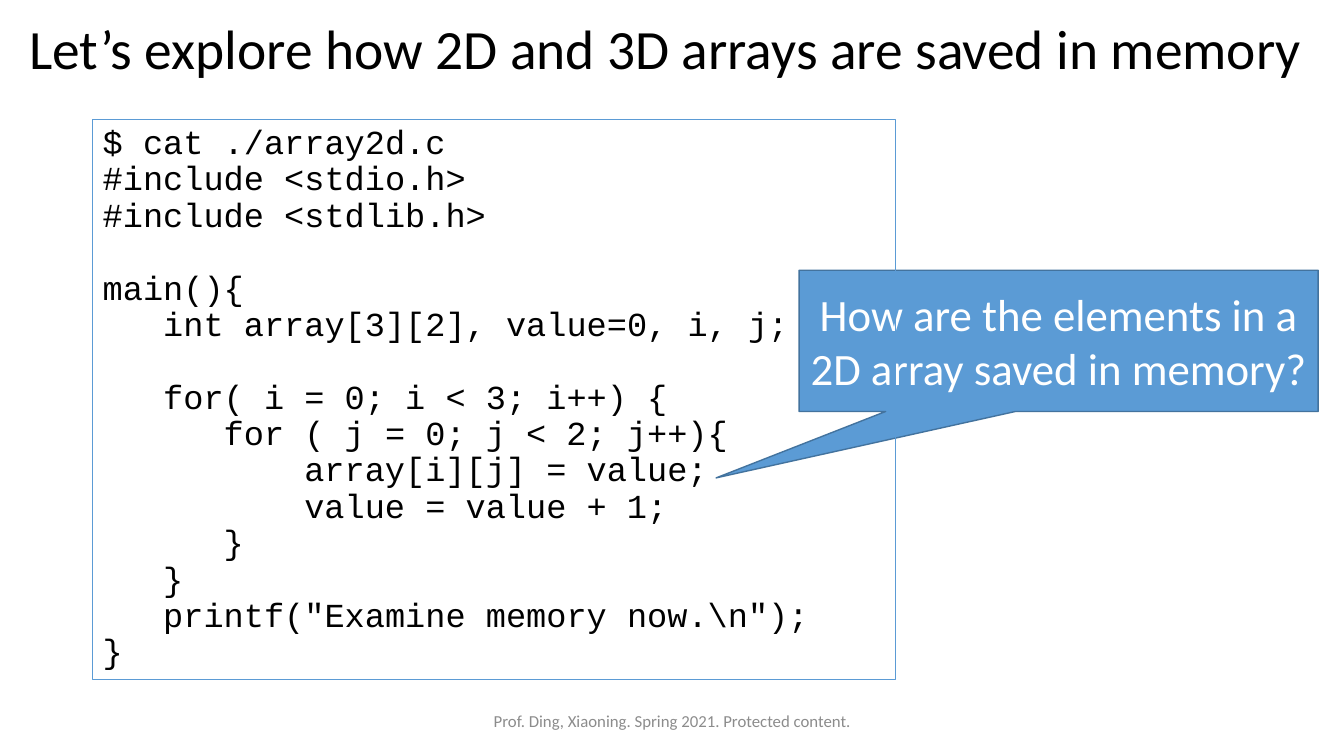
from dataclasses import dataclass

from pptx import Presentation
from pptx.dml.color import RGBColor
from pptx.enum.shapes import MSO_SHAPE
from pptx.enum.text import MSO_ANCHOR, MSO_AUTO_SIZE, PP_ALIGN
from pptx.util import Cm, Pt

RECTANGLE = MSO_SHAPE.RECTANGLE
CALLOUT = MSO_SHAPE.RECTANGULAR_CALLOUT
TOP, MIDDLE = MSO_ANCHOR.TOP, MSO_ANCHOR.MIDDLE
LEFT, CENTER = PP_ALIGN.LEFT, PP_ALIGN.CENTER
NO_AUTOFIT = MSO_AUTO_SIZE.NONE

TITLE = "Let’s explore how 2D and 3D arrays are saved in memory"
QUESTION = "How are the elements in a 2D array saved in memory?"
FOOTER = "Prof. Ding, Xiaoning. Spring 2021. Protected content."
CODE = [
    # (columns of indent, blank lines before, text)
    (0, 0, "$ cat ./array2d.c"),
    (0, 0, "#include <stdio.h>"),
    (0, 0, "#include <stdlib.h>"),
    (0, 1, "main(){"),
    (3, 0, "int array[3][2], value=0, i, j;"),
    (3, 1, "for( i = 0; i < 3; i++) {"),
    (6, 0, "for ( j = 0; j < 2; j++){"),
    (10, 0, "array[i][j] = value;"),
    (10, 0, "value = value + 1;"),
    (6, 0, "}"),
    (3, 0, "}"),
    (3, 0, 'printf("Examine memory now.\\n");'),
    (0, 0, "}"),
]
TITLE_BOX = (0.48, 0.05, 32.92, 2.49)
QUESTION_BOX = (20.14, 6.81, 13.08, 3.56)
FOOTER_BOX = (11.23, 17.65, 11.43, 1.02)
CODE_BOX = (2.34, 3.02, 20.24, 14.1)
POINTER_TIP = (-0.66, 0.97)


@dataclass(frozen=True)
class Theme:
    text_font: str = "Calibri"
    code_font: str = "Courier New"
    title_size: float = 39.6
    question_size: float = 32
    code_size: float = 24
    code_pitch: float = 26
    footer_size: float = 12
    black: RGBColor = RGBColor(0x00, 0x00, 0x00)
    white: RGBColor = RGBColor(0xFF, 0xFF, 0xFF)
    gray: RGBColor = RGBColor(0x8C, 0x8C, 0x8C)
    blue: RGBColor = RGBColor(0x5B, 0x9B, 0xD5)
    dark_blue: RGBColor = RGBColor(0x43, 0x73, 0x9E)


THEME = Theme()


def place(shape, box):
    shape.left, shape.top, shape.width, shape.height = map(Cm, box)


def style_font(paragraph, name, size, color):
    paragraph.font.name = name
    paragraph.font.size = Pt(size)
    paragraph.font.color.rgb = color


def write_line(shape, text, size, color, alignment):
    frame = shape.text_frame
    frame.text = text
    frame.word_wrap = True
    frame.auto_size = NO_AUTOFIT
    frame.vertical_anchor = MIDDLE
    paragraph = frame.paragraphs[0]
    paragraph.alignment = alignment
    style_font(paragraph, THEME.text_font, size, color)
    return paragraph


def add_outlined(slide, kind, box, line_color, line_width):
    shape = slide.shapes.add_shape(kind, *map(Cm, box))
    shape.shadow.inherit = False
    shape.line.color.rgb = line_color
    shape.line.width = Pt(line_width)
    return shape


def add_title(slide):
    title = slide.shapes.title
    place(title, TITLE_BOX)
    paragraph = write_line(title, TITLE, THEME.title_size, THEME.black, LEFT)
    paragraph.line_spacing = 0.9


def add_question(slide):
    callout = add_outlined(slide, CALLOUT, QUESTION_BOX, THEME.dark_blue, 1)
    callout.fill.solid()
    callout.fill.fore_color.rgb = THEME.blue
    for index, offset in enumerate(POINTER_TIP):
        callout.adjustments[index] = offset
    write_line(callout, QUESTION, THEME.question_size, THEME.white, CENTER)


def add_footer(slide):
    footer = slide.shapes.add_textbox(*map(Cm, FOOTER_BOX))
    write_line(footer, FOOTER, THEME.footer_size, THEME.gray, CENTER)


def add_code(slide):
    panel = add_outlined(slide, RECTANGLE, CODE_BOX, THEME.blue, 0.75)
    panel.fill.background()
    frame = panel.text_frame
    frame.word_wrap = True
    frame.vertical_anchor = TOP
    frame.text = "\n".join(text for _, _, text in CODE)
    column_width = 0.6 * THEME.code_size
    for paragraph, (columns, blanks, _) in zip(frame.paragraphs, CODE):
        paragraph.alignment = LEFT
        paragraph.line_spacing = Pt(THEME.code_pitch)
        paragraph.space_before = Pt(blanks * THEME.code_pitch)
        style_font(paragraph, THEME.code_font, THEME.code_size, THEME.black)
        properties = paragraph._p.get_or_add_pPr()
        properties.set("marL", str(Pt(columns * column_width)))
        properties.set("indent", "0")


def main():
    presentation = Presentation()
    presentation.slide_width = Cm(33.87)
    presentation.slide_height = Cm(19.05)
    slide = presentation.slides.add_slide(presentation.slide_layouts[5])
    add_title(slide)
    add_question(slide)
    add_footer(slide)
    add_code(slide)
    presentation.save("out.pptx")


if __name__ == "__main__":
    main()
